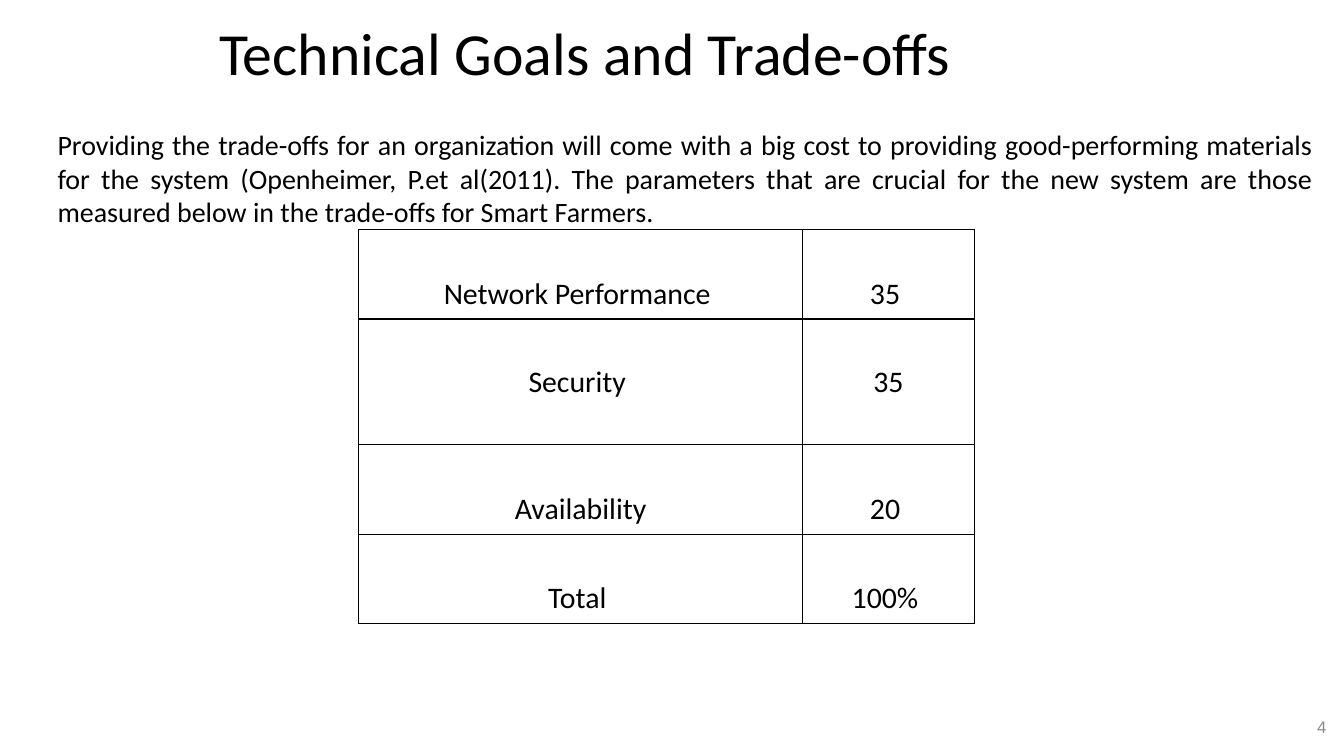
import pptx
import pptx.dml.color
import pptx.enum.text
import pptx.util
from lxml import etree
from pptx.oxml.ns import qn

WIDE, HIGH = 10, 10 * 9 / 16
BLACK, GREY, WHITE = "000000", "8B8B8B", "FFFFFF"
ALIGN = pptx.enum.text.PP_ALIGN
ANCHOR = pptx.enum.text.MSO_ANCHOR
GOALS = [
    ("Network Performance ", "35 "),
    ("Security ", "35"),
    ("Availability", "20 "),
    ("Total ", "100% "),
]
COLS = (3.3, 1.28)
ROWS = (0.66, 0.93, 0.66, 0.66)


def tint(code):
    return pptx.dml.color.RGBColor.from_string(code)


def inches(box):
    return [pptx.util.Inches(side) for side in box]


def write(frame, text, size, align, color=BLACK, font="Calibri"):
    frame.text = text
    para = frame.paragraphs[0]
    para.alignment = align
    para.font.size = pptx.util.Pt(size)
    para.font.name = font
    para.font.color.rgb = tint(color)


def border(cell, color=BLACK, width=0.75):
    """Draw all four sides of a cell; lines must precede the fill in tcPr."""
    props = cell._tc.get_or_add_tcPr()
    for spot, side in enumerate(("a:lnL", "a:lnR", "a:lnT", "a:lnB")):
        line = etree.Element(qn(side), w=str(pptx.util.Pt(width)))
        fill = etree.SubElement(line, qn("a:solidFill"))
        etree.SubElement(fill, qn("a:srgbClr"), val=color)
        props.insert(spot, line)


def add_title(slide, box):
    title = slide.shapes.title
    title.left, title.top, title.width, title.height = inches(box)
    frame = title.text_frame
    write(frame, "Technical Goals and Trade-offs", 32, ALIGN.LEFT)
    frame.word_wrap = False
    frame.auto_size = pptx.enum.text.MSO_AUTO_SIZE.NONE
    frame.vertical_anchor = ANCHOR.TOP


def add_intro(slide, box):
    frame = slide.shapes.add_textbox(*inches(box)).text_frame
    frame.word_wrap = True
    write(
        frame,
        "Providing the trade-offs for an organization will come with a big cost "
        "to providing good-performing materials for the system (Openheimer, "
        "P.et al(2011). The parameters that are crucial for the new system are "
        "those measured below in the trade-offs for Smart Farmers.",
        15,
        ALIGN.JUSTIFY,
    )


def add_goals(slide, box):
    """Fill the box with the goals table, sharing it out by COLS and ROWS."""
    left, top, width, height = box
    table = slide.shapes.add_table(len(ROWS), len(COLS), *inches(box)).table
    table.first_row = table.horz_banding = False
    for col, share in zip(table.columns, COLS):
        col.width = pptx.util.Inches(width * share / sum(COLS))
    for row, share in zip(table.rows, ROWS):
        row.height = pptx.util.Inches(height * share / sum(ROWS))
    for row, (goal, texts) in enumerate(zip(table.rows, GOALS)):
        for cell, text in zip(goal.cells, texts):
            write(cell.text_frame, text, 16, ALIGN.CENTER)
            tall = ROWS[row] > min(ROWS)
            cell.vertical_anchor = ANCHOR.MIDDLE if tall else ANCHOR.BOTTOM
            cell.fill.solid()
            cell.fill.fore_color.rgb = tint(WHITE)
            border(cell)


def add_number(slide, box):
    frame = slide.shapes.add_textbox(*inches(box)).text_frame
    frame.margin_left = frame.margin_right = 0
    frame.margin_top = frame.margin_bottom = 0
    frame.vertical_anchor = ANCHOR.MIDDLE
    frame.word_wrap = True
    write(frame, "4", 9, ALIGN.RIGHT, GREY, "Arial")


def main():
    deck = pptx.Presentation()
    deck.slide_width, deck.slide_height = inches((WIDE, HIGH))
    slide = deck.slides.add_slide(deck.slide_layouts.get_by_name("Title Only"))
    edge = 9.87
    add_number(slide, (edge - 0.6, HIGH - 0.43, 0.6, 0.43))
    add_title(slide, (1.53, 0.07, 6.94, 0.63))
    add_intro(slide, (0.33, 0.9, edge - 0.33, 2.09))
    add_goals(slide, (2.67, 1.71, sum(COLS), 2.93))
    deck.save("out.pptx")


if __name__ == "__main__":
    main()
